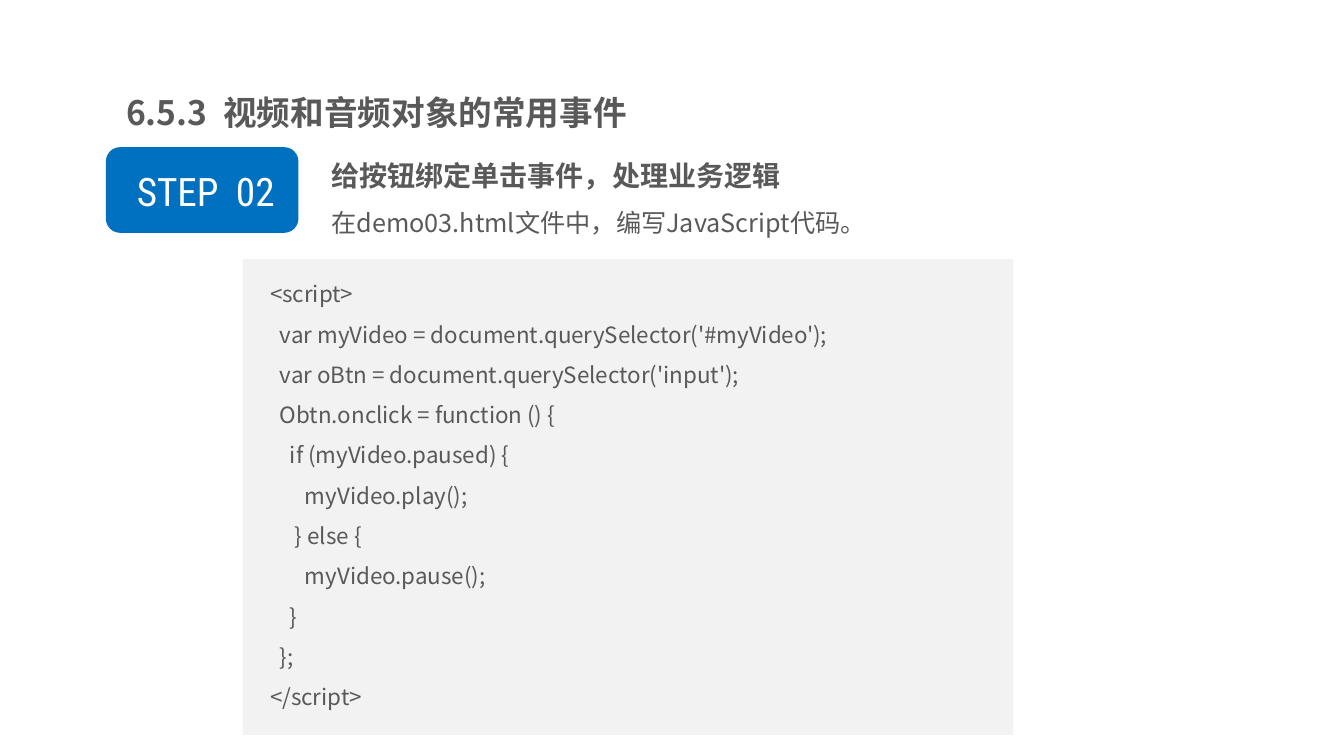
from lxml import etree
from pptx import Presentation
from pptx.dml.color import RGBColor
from pptx.enum.shapes import MSO_SHAPE as Shape
from pptx.enum.text import MSO_ANCHOR as Anchor, MSO_AUTO_SIZE as AutoSize, PP_ALIGN as Align
from pptx.oxml.ns import qn
from pptx.util import Inches, Pt

BODY_FONT = "Noto Sans CJK SC"
STEP_FONT = "Roboto Condensed"
BLUE, GREY, PANEL, WHITE = "0070C0", "595959", "F2F2F2", "FFFFFF"

SCRIPT_LINES = [
    "<script>",
    "  var myVideo = document.querySelector('#myVideo');",
    "  var oBtn = document.querySelector('input');",
    "  Obtn.onclick = function () {",
    "    if (myVideo.paused) {",
    "       myVideo.play();",
    "     } else {",
    "       myVideo.pause();",
    "    }",
    "  };",
    "</script>",
]


def color(hex_code):
    return RGBColor.from_string(hex_code)


class LessonSlide:
    def __init__(self, deck):
        self.slide = deck.slides.add_slide(deck.slide_layouts[5])
        self.shapes = self.slide.shapes

    def style_run(self, run, size, bold=False, font=BODY_FONT, hex_code=GREY):
        run.font.size = Pt(size)
        run.font.bold = bold
        run.font.color.rgb = color(hex_code)
        run.font.name = font
        etree.SubElement(run.font._element, qn("a:ea")).set("typeface", font)

    def spaced_pair(self, paragraph, number, label, gap, **style):
        """Write two words with a space between them, widened by gap points."""
        for text in (number, " ", label):
            run = paragraph.add_run()
            run.text = text
            self.style_run(run, **style)
            if text == " ":
                run.font._element.set("spc", str(gap * 100))

    def title(self, number, heading, left, top, width, height):
        title = self.shapes.title
        title.left, title.top = Inches(left), Inches(top)
        title.width, title.height = Inches(width), Inches(height)
        frame = title.text_frame
        frame.word_wrap = True
        frame.auto_size = AutoSize.NONE
        frame.vertical_anchor = Anchor.MIDDLE
        frame.margin_left = frame.margin_right = 0
        frame.margin_top = frame.margin_bottom = Inches(0.07)
        paragraph = frame.paragraphs[0]
        paragraph.alignment = Align.LEFT
        paragraph.line_spacing = 1.0
        self.spaced_pair(paragraph, number, heading, gap=6, size=24, bold=True)

    def panel(self, kind, fill, *box):
        panel = self.shapes.add_shape(kind, *map(Inches, box))
        panel.shadow.inherit = False
        panel.fill.solid()
        panel.fill.fore_color.rgb = color(fill)
        panel.line.fill.background()

    def text_frame(self, *box):
        frame = self.shapes.add_textbox(*map(Inches, box)).text_frame
        frame.word_wrap = True
        frame.auto_size = AutoSize.SHAPE_TO_FIT_TEXT
        return frame

    def step_label(self, word, number, *box):
        paragraph = self.text_frame(*box).paragraphs[0]
        paragraph.alignment = Align.CENTER
        self.spaced_pair(paragraph, word, number, gap=6, size=28,
                         font=STEP_FONT, hex_code=WHITE)

    def lines(self, styled_lines, *box):
        """Write (text, size, bold) lines at one and a half line spacing."""
        frame = self.text_frame(*box)
        frame.text = "\n".join(text for text, _, _ in styled_lines)
        for paragraph, (_, size, bold) in zip(frame.paragraphs, styled_lines):
            paragraph.line_spacing = 1.5
            self.style_run(paragraph.runs[0], size, bold)


def main():
    deck = Presentation()
    deck.slide_width, deck.slide_height = Inches(13.33), Inches(7.5)
    lesson = LessonSlide(deck)

    lesson.title("6.5.3", "视频和音频对象的常用事件", 1.25, 0.84, 5.26, 0.55)
    lesson.panel(Shape.ROUNDED_RECTANGLE, BLUE, 1.05, 1.46, 1.91, 0.85)
    lesson.step_label("STEP", "02", 1.15, 1.61, 1.78, 0.57)
    lesson.lines([
        ("给按钮绑定单击事件，处理业务逻辑", 20, True),
        ("在demo03.html文件中，编写JavaScript代码。", 18, False),
    ], 3.19, 1.36, 6.86, 1.06)
    lesson.panel(Shape.RECTANGLE, PANEL, 2.41, 2.57, 7.64, 4.72)
    lesson.lines([(code, 16, False) for code in SCRIPT_LINES], 2.58, 2.6, 7, 4.54)

    deck.save("out.pptx")


if __name__ == "__main__":
    main()
